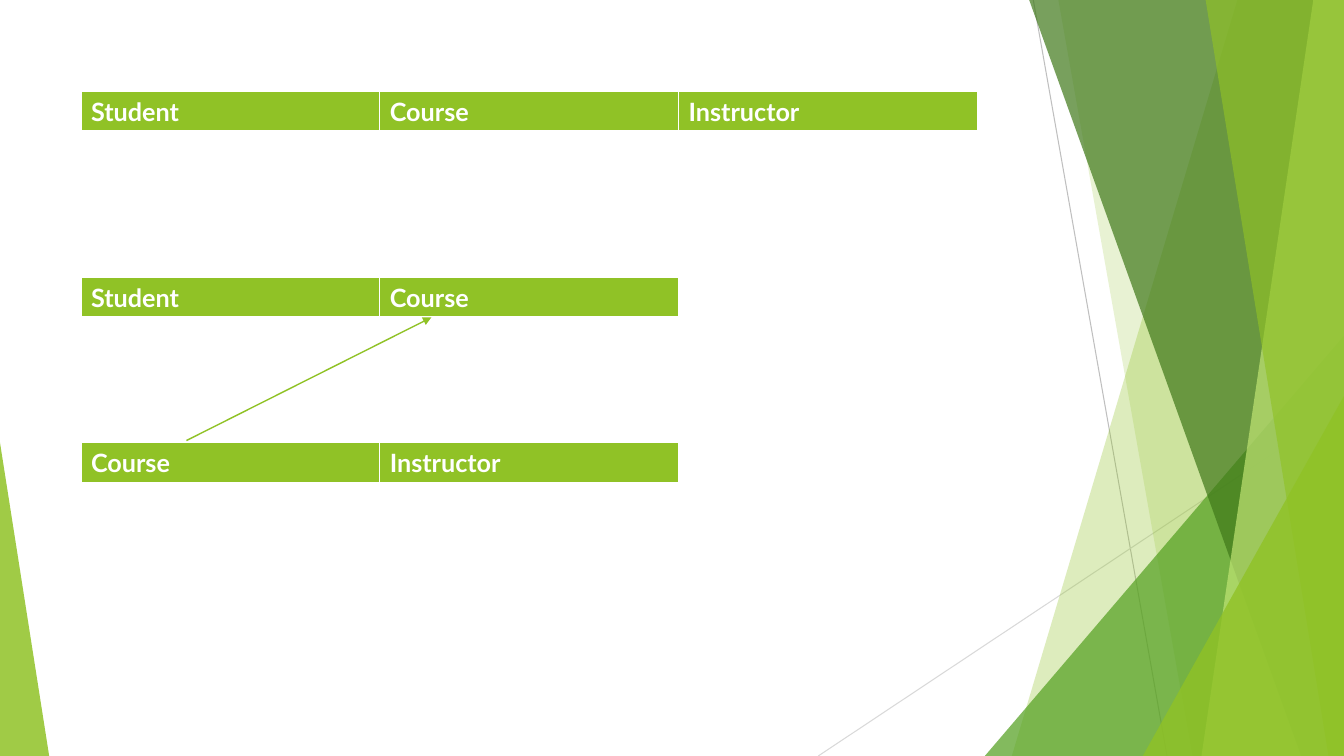
"""Build a slide of relation schemas beside a faceted green backdrop."""
from typing import Any, NamedTuple

from lxml import etree
from pptx import Presentation
from pptx import util as u
from pptx.dml import color
from pptx.enum import shapes
from pptx.oxml import ns

WIDTH, HEIGHT = 33.87, 19.05
BLEED_TOP = -0.02
GREEN, WHITE = "90C226", "FFFFFF"
COLUMN_WIDTH, ROW_HEIGHT, TABLE_LEFT = 7.53, 1.03, 2.04
HEADER_FORMAT = {"name": "Lato", "size": u.Pt(18), "bold": True}
BORDERS = {"lnL": 1, "lnR": 1, "lnT": 1, "lnB": 3}


class Line(NamedTuple):
    start: tuple[float, float]
    end: tuple[float, float]
    colour: str
    weight: float
    arrow: bool = False


class Band(NamedTuple):
    top_x: float
    bottom_x: float
    colour: str
    opacity: int


class Triangle(NamedTuple):
    left: float
    top: float
    width: float
    apex: float
    colour: str
    opacity: int


class Relation(NamedTuple):
    top: float
    attributes: tuple[str, ...]


BACK_LINES = [
    Line((26.04, 0), (29.41, HEIGHT), "BFBFBF", 0.75),
    Line((WIDTH, 10.24), (20.62, HEIGHT), "D9D9D9", 0.75),
]
FACETS = [
    Band(31.19, 25.5, GREEN, 30),
    Band(26.67, 30.05, GREEN, 20),
    Triangle(24.82, 8.46, 9.05, 1, "54A021", 72),
    Band(25.93, 32.79, "3F7819", 70),
    Band(33.1, 30.28, "C0E474", 70),
    Band(30.38, 33.48, GREEN, 65),
    Triangle(28.8, 9.98, 5.07, 1, GREEN, 80),
    Triangle(0, 11.15, 1.24, 0, GREEN, 85),
]
RELATIONS = [
    Relation(2.3, ("Student", "Course", "Instructor")),
    Relation(6.99, ("Student", "Course")),
    Relation(11.15, ("Course", "Instructor")),
]
REFERENCE = Line((4.7, 11.1), (10.87, 8), GREEN, 1, arrow=True)


def rgb(value: str) -> color.RGBColor:
    return color.RGBColor.from_string(value)


def add_child(parent: Any, tag: str, **attributes: str) -> Any:
    return etree.SubElement(parent, ns.qn(f"a:{tag}"), attributes)


def fill_solid(fill: Any, colour: str) -> None:
    fill.solid()
    fill.fore_color.rgb = rgb(colour)


def draw_line(slide: Any, line: Line) -> None:
    ends = [u.Cm(value) for value in (*line.start, *line.end)]
    connector = slide.shapes.add_connector(shapes.MSO_CONNECTOR.STRAIGHT, *ends)
    connector.line.color.rgb = rgb(line.colour)
    connector.line.width = u.Pt(line.weight)
    properties = connector._element.spPr
    if line.arrow:
        add_child(properties.find(ns.qn("a:ln")), "tailEnd", type="triangle")
    add_child(properties, "effectLst")


def draw_facet(slide: Any, facet: Band | Triangle) -> None:
    if isinstance(facet, Band):
        builder = slide.shapes.build_freeform(u.Cm(facet.top_x), u.Cm(BLEED_TOP))
        corners = [(WIDTH, BLEED_TOP), (WIDTH, HEIGHT), (facet.bottom_x, HEIGHT)]
        builder.add_line_segments([(u.Cm(x), u.Cm(y)) for x, y in corners])
        shape = builder.convert_to_shape()
    else:
        box = (facet.left, facet.top, facet.width, HEIGHT - facet.top)
        shape = slide.shapes.add_shape(
            shapes.MSO_SHAPE.ISOSCELES_TRIANGLE, *(u.Cm(value) for value in box)
        )
        shape.adjustments[0] = facet.apex
    shape.shadow.inherit = False
    shape.line.fill.background()
    fill_solid(shape.fill, facet.colour)
    solid = shape._element.spPr.find(ns.qn("a:solidFill"))
    add_child(solid[0], "alpha", val=str(facet.opacity * 1000))


def format_cell(cell: Any, label: str) -> None:
    properties = cell._tc.get_or_add_tcPr()
    for tag, weight in BORDERS.items():
        border = add_child(properties, tag, w=str(u.Pt(weight)))
        add_child(add_child(border, "solidFill"), "srgbClr", val=WHITE)
    fill_solid(cell.fill, GREEN)
    cell.text = label
    font = cell.text_frame.paragraphs[0].runs[0].font
    for name, value in HEADER_FORMAT.items():
        setattr(font, name, value)
    font.color.rgb = rgb(WHITE)


def draw_relation(slide: Any, relation: Relation) -> None:
    count = len(relation.attributes)
    box = (TABLE_LEFT, relation.top, COLUMN_WIDTH * count, ROW_HEIGHT)
    table = slide.shapes.add_table(1, count, *(u.Cm(value) for value in box)).table
    for index, label in enumerate(relation.attributes):
        format_cell(table.cell(0, index), label)


def main() -> None:
    presentation = Presentation()
    presentation.slide_width, presentation.slide_height = u.Cm(WIDTH), u.Cm(HEIGHT)
    slide = presentation.slides.add_slide(presentation.slide_layouts[6])
    for line in BACK_LINES:
        draw_line(slide, line)
    for facet in FACETS:
        draw_facet(slide, facet)
    for relation in RELATIONS:
        draw_relation(slide, relation)
    draw_line(slide, REFERENCE)
    presentation.save("out.pptx")


if __name__ == "__main__":
    main()
